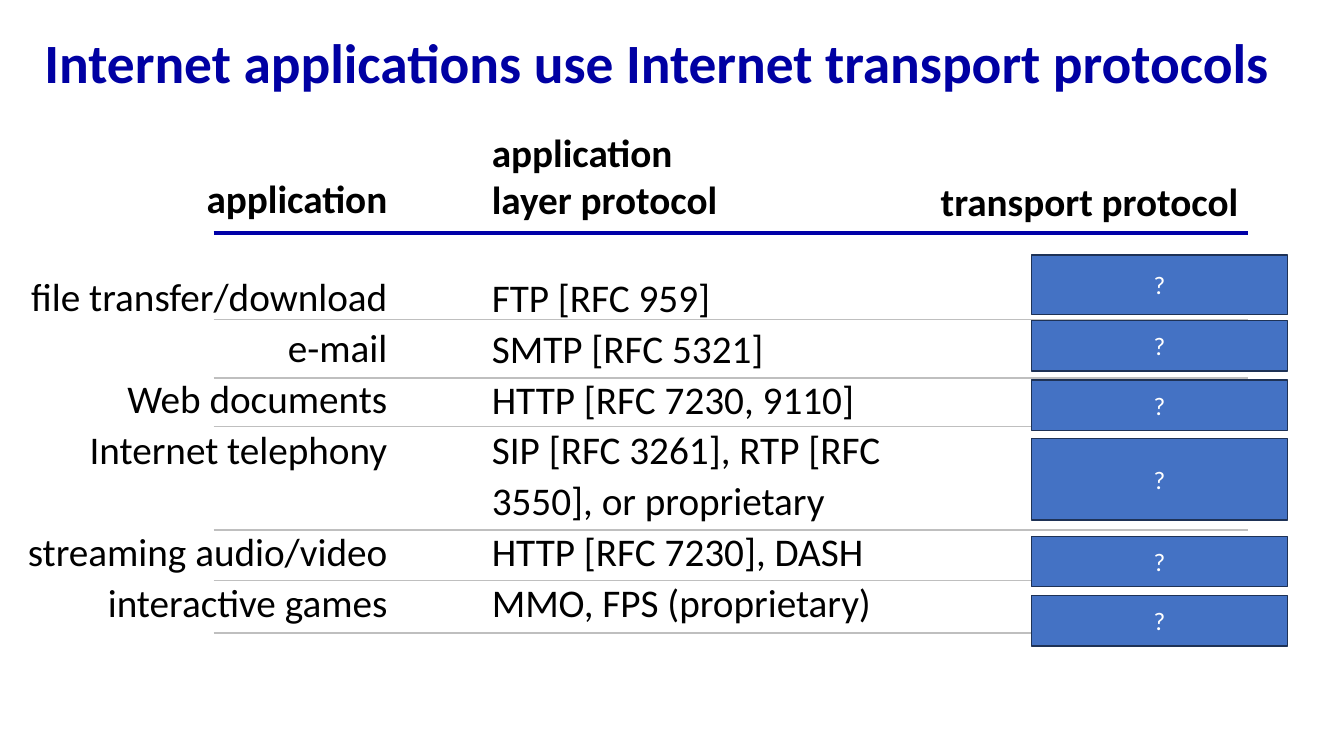
"""Build the slide on Internet applications and their transport protocols."""
from lxml.etree import SubElement
from pptx import Presentation
from pptx.dml.color import RGBColor
from pptx.enum.shapes import MSO_CONNECTOR, MSO_SHAPE
from pptx.enum.text import MSO_ANCHOR, MSO_AUTO_SIZE, PP_ALIGN
from pptx.oxml.ns import qn
from pptx.util import Inches, Pt

TITLE = "Internet applications use Internet transport protocols"
HEADS = (["application"], ["application", "layer protocol"], ["transport protocol"])
# application, protocol, protocol lines, rule, answer top, answer height
ROWS = [
    ("file transfer/download", "FTP [RFC 959]", 1, 3.17, 2.53, 0.59),
    ("e-mail", "SMTP [RFC 5321]", 1, 3.75, 3.18, 0.5),
    ("Web documents", "HTTP [RFC 7230, 9110]", 1, 4.23, 3.77, 0.5),
    ("Internet telephony", "SIP [RFC 3261], RTP [RFC 3550], or proprietary", 2, 5.26, 4.35, 0.81),
    ("streaming audio/video", "HTTP [RFC 7230], DASH", 1, 5.76, 5.32, 0.5),
    ("interactive games", "MMO, FPS (proprietary)", 1, 6.28, 5.91, 0.5),
]
COLS = [(0.03, 1.68, 3.91, 4.65), (4.78, 1.22, 4.4, 5.1), (9.09, 1.71, 3.29, 0.57)]
RULE_X = (2.12, 12.38)
BOX_X, BOX_W = 10.23, 2.54
HEAD_GAP, LINE = 34, 37


def paint(code):
    return RGBColor.from_string(code)


def write(frame, paras, size=28, color="000000", align=PP_ALIGN.LEFT, anchor=MSO_ANCHOR.TOP):
    """Fill a frame with (text, bold, spacing, space before) paragraphs."""
    frame.word_wrap = True
    frame.auto_size = MSO_AUTO_SIZE.NONE
    frame.vertical_anchor = anchor
    for i, (text, bold, spacing, before) in enumerate(paras):
        para = frame.paragraphs[0] if i == 0 else frame.add_paragraph()
        para.alignment, para.line_spacing = align, spacing
        para.space_before = Pt(before)
        run = para.add_run()
        run.text = text
        font = run.font
        font.name, font.size, font.bold = "Calibri", Pt(size), bold
        font.color.rgb = paint(color)


def rule(shapes, y, color, width):
    left, right = map(Inches, RULE_X)
    line = shapes.add_connector(MSO_CONNECTOR.STRAIGHT, left, Inches(y), right, Inches(y))
    line.line.color.rgb = paint(color)
    line.line.width = Pt(width)
    SubElement(line._element.spPr, qn("a:effectLst"))


def column(shapes, index, cells, align):
    """Add a column with bold heads above its (text, space before) cells."""
    box = shapes.add_textbox(*map(Inches, COLS[index]))
    paras = [(head, True, 1.0, 0) for head in HEADS[index]]
    paras += [(text, False, 1.08, gap) for text, gap in cells]
    write(box.text_frame, paras, align=align)


def answer(shapes, top, height):
    box = shapes.add_shape(MSO_SHAPE.RECTANGLE, *map(Inches, (BOX_X, top, BOX_W, height)))
    box.shadow.inherit = False
    box.fill.solid()
    box.fill.fore_color.rgb = paint("4472C4")
    box.line.color.rgb = paint("1E3256")
    box.line.width = Pt(1)
    write(box.text_frame, [("?", False, 1.0, 0)], size=18, color="FFFFFF",
          align=PP_ALIGN.CENTER, anchor=MSO_ANCHOR.MIDDLE)


def main():
    deck = Presentation()
    deck.slide_width, deck.slide_height = Inches(13.33), Inches(7.5)
    shapes = deck.slides.add_slide(deck.slide_layouts[5]).shapes
    title = shapes.title
    title.left, title.top, title.width, title.height = map(Inches, (0.34, 0.16, 12.65, 0.98))
    write(title.text_frame, [(TITLE, True, 0.9, 0)], size=39.6, color="0000A3",
          anchor=MSO_ANCHOR.MIDDLE)

    gaps = [HEAD_GAP] + [(row[2] - 1) * LINE for row in ROWS[:-1]]
    apps = [(row[0], gap) for row, gap in zip(ROWS, gaps)]
    protos = [(row[1], 0 if i else HEAD_GAP) for i, row in enumerate(ROWS)]
    column(shapes, 0, apps, PP_ALIGN.RIGHT)
    rule(shapes, 2.31, "0000A8", 2.5)
    for row in ROWS:
        rule(shapes, row[3], "BFBFBF", 1.25)
    column(shapes, 1, protos, PP_ALIGN.LEFT)
    column(shapes, 2, [], PP_ALIGN.RIGHT)
    for row in ROWS:
        answer(shapes, row[4], row[5])
    deck.save("out.pptx")


if __name__ == "__main__":
    main()
